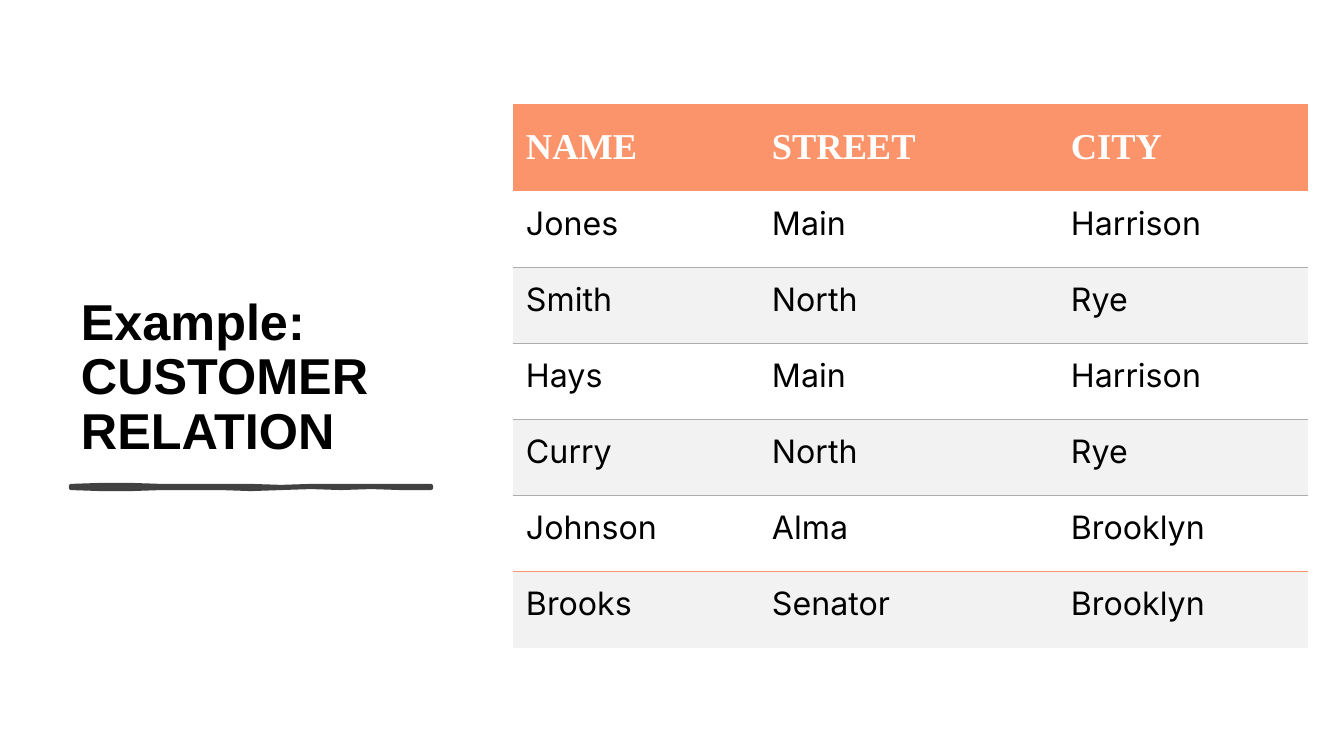
from lxml import etree
from pptx import Presentation
from pptx.dml.color import RGBColor
from pptx.enum.text import MSO_ANCHOR, PP_ALIGN
from pptx.oxml.ns import qn
from pptx.util import Pt

EMU_PER_PX = 914400 / 100.8
BLANK_LAYOUT = 6
BOTTOM, MIDDLE, TOP = MSO_ANCHOR.BOTTOM, MSO_ANCHOR.MIDDLE, MSO_ANCHOR.TOP
LEFT, JUSTIFY = PP_ALIGN.LEFT, PP_ALIGN.JUSTIFY
NO_STYLE_NO_GRID = "{2D5ABB26-0587-4C30-8999-92F81FD0307C}"

COLORS = {
    "black": "000000",
    "white": "FFFFFF",
    "orange": "FC946B",
    "band": "F2F2F2",
    "rule": "ADADAD",
    "brush": "414141",
}

HEADINGS = ["NAME", "STREET", "CITY"]
CUSTOMERS = [
    ["Jones", "Main", "Harrison"],
    ["Smith", "North", "Rye"],
    ["Hays", "Main", "Harrison"],
    ["Curry", "North", "Rye"],
    ["Johnson", "Alma", "Brooklyn"],
    ["Brooks", "Senator", "Brooklyn"],
]
COLUMN_WIDTHS = [246, 299, 250]
TABLE_HEIGHT = 544
HEADER_HEIGHT = 87

BRUSH_TOP = [486, 485, 485, 486, 486, 486, 486, 487, 486, 486, 486, 486, 486]
BRUSH_BOTTOM = [488, 489, 489, 488, 488, 488, 489, 488, 487, 488, 487, 488, 488]


def px(length):
    return round(length * EMU_PER_PX)


def rgb(name):
    return RGBColor.from_string(COLORS[name])


def write_text(text_frame, text, size, font, color, bold=False, align=LEFT,
               line_spacing=None):
    paragraph = text_frame.paragraphs[0]
    paragraph.alignment = align
    paragraph.line_spacing = line_spacing
    run = paragraph.add_run()
    run.text = text
    run.font.size = Pt(size)
    run.font.name = font
    run.font.bold = bold
    run.font.color.rgb = rgb(color)


def add_title(slide, text, left, top, width, height):
    text_frame = slide.shapes.add_textbox(
        px(left), px(top), px(width), px(height)).text_frame
    text_frame.word_wrap = True
    text_frame.vertical_anchor = BOTTOM
    write_text(text_frame, text, 36, "Arial", "black", bold=True, line_spacing=0.9)


def add_brush_stroke(slide, left, step):
    upper = [(left + step * index, y) for index, y in enumerate(BRUSH_TOP)]
    lower = [(left + step * index, y) for index, y in enumerate(BRUSH_BOTTOM)]
    outline = upper + lower[::-1]
    builder = slide.shapes.build_freeform(*outline[0], scale=EMU_PER_PX)
    builder.add_line_segments(outline[1:], close=True)
    shape = builder.convert_to_shape()
    shape.shadow.inherit = False
    shape.fill.solid()
    shape.fill.fore_color.rgb = rgb("brush")
    shape.line.color.rgb = rgb("brush")
    shape.line.width = Pt(3)


def add_top_border(cell, color):
    line = etree.Element(qn("a:lnT"), w=str(Pt(1)))
    fill = etree.SubElement(line, qn("a:solidFill"))
    etree.SubElement(fill, qn("a:srgbClr"), val=COLORS[color])
    cell.fill  # ensures the cell properties exist
    cell._tc.get_or_add_tcPr().insert(0, line)


def format_cell(cell, fill, anchor, top_margin):
    cell.fill.solid()
    cell.fill.fore_color.rgb = rgb(fill)
    cell.vertical_anchor = anchor
    cell.margin_left = px(13)
    cell.margin_right = px(9)
    cell.margin_top = px(top_margin)
    cell.margin_bottom = px(19)


def add_customer_table(slide, left, top):
    frame = slide.shapes.add_table(
        len(CUSTOMERS) + 1, len(HEADINGS), px(left), px(top),
        px(sum(COLUMN_WIDTHS)), px(TABLE_HEIGHT))
    table = frame.table
    table.horz_banding = False
    for style in frame._element.iter(qn("a:tableStyleId")):
        style.text = NO_STYLE_NO_GRID
    for column, width in zip(table.columns, COLUMN_WIDTHS):
        column.width = px(width)
    for row in table.rows:
        row.height = px((TABLE_HEIGHT - HEADER_HEIGHT) / len(CUSTOMERS))
    table.rows[0].height = px(HEADER_HEIGHT)

    for cell, heading in zip(table.rows[0].cells, HEADINGS):
        format_cell(cell, "orange", MIDDLE, 19)
        write_text(cell.text_frame, heading, 26, "Times New Roman", "white", bold=True)

    for number, customer in enumerate(CUSTOMERS, start=1):
        banded = number % 2 == 0
        border = "orange" if number == len(CUSTOMERS) else "rule"
        for cell, value in zip(table.rows[number].cells, customer):
            format_cell(cell, "band" if banded else "white", TOP, 13)
            write_text(cell.text_frame, value, 23, "Inter", "black", align=JUSTIFY)
            if banded:
                add_top_border(cell, border)


def main():
    presentation = Presentation()
    presentation.slide_width = px(1344)
    presentation.slide_height = px(756)
    slide = presentation.slides.add_slide(presentation.slide_layouts[BLANK_LAYOUT])
    add_title(slide, "Example: CUSTOMER RELATION", 71, 71, 394, 394)
    add_brush_stroke(slide, 71, 30)
    add_customer_table(slide, 513, 104)
    presentation.save("out.pptx")


if __name__ == "__main__":
    main()
